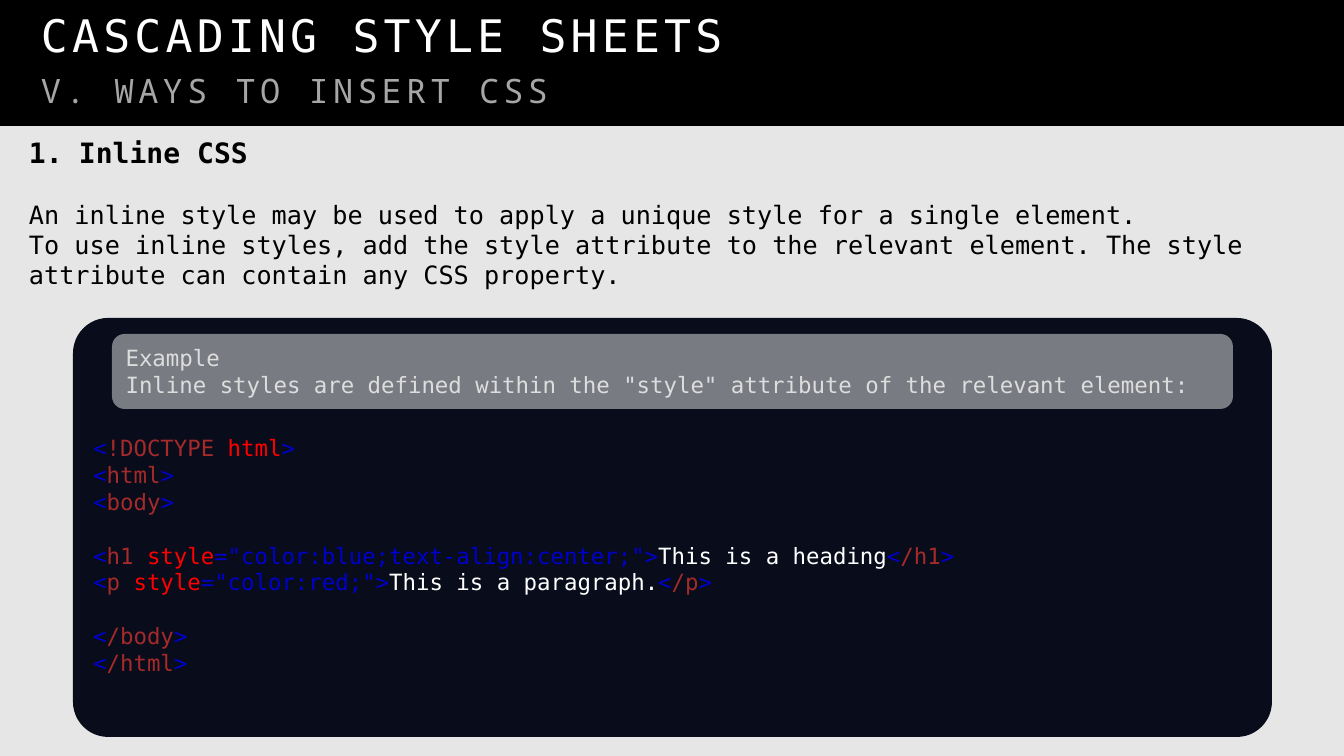
from lxml.etree import SubElement
from pptx import Presentation
from pptx.dml.color import RGBColor
from pptx.enum.shapes import MSO_SHAPE
from pptx.enum.text import MSO_ANCHOR, PP_ALIGN
from pptx.oxml.ns import qn
from pptx.util import Emu, Pt

EMU_PER_INCH = 914400
PX_PER_INCH = 100.8
MONO = "DejaVu Sans Mono"
COLORS = {
    "page": "E6E6E6", "band": "000000", "card": "080C1B",
    "title": "FFFFFF", "subtitle": "A6A6A6", "body": "000000", "note": "DDDDDD",
    "symbol": "0000CD", "tag": "A52A2A", "attribute": "FF0000", "content": "FFFFFF",
}


def px(length):
    return Emu(round(length * EMU_PER_INCH / PX_PER_INCH))


def color(name):
    return RGBColor.from_string(COLORS[name])


def add_panel(page, kind, left, top, width, height, fill, radius=None, alpha=None):
    panel = page.shapes.add_shape(kind, px(left), px(top), px(width), px(height))
    panel.shadow.inherit = False
    panel.line.fill.background()
    panel.fill.solid()
    panel.fill.fore_color.rgb = color(fill)
    if radius is not None:
        panel.adjustments[0] = radius
    if alpha is not None:
        tint = panel.fill._xPr.find(".//" + qn("a:srgbClr"))
        SubElement(tint, qn("a:alpha"), val=str(alpha * 1000))
    return panel


def set_frame(box, left=10, top=5, anchor=MSO_ANCHOR.TOP):
    frame = box.text_frame
    frame.word_wrap = True
    frame.vertical_anchor = anchor
    frame.margin_left, frame.margin_right = px(left), px(10)
    frame.margin_top, frame.margin_bottom = px(top), px(5)
    return frame


def add_para(frame, first=False, before=0):
    para = frame.paragraphs[0] if first else frame.add_paragraph()
    para.alignment = PP_ALIGN.LEFT
    if before:
        para.space_before = Pt(before)
    return para


def add_span(para, text, size, ink, font=MONO, bold=False, spacing=0):
    span = para.add_run()
    span.text = text
    span.font.size = Pt(size)
    span.font.name = font
    span.font.bold = bold
    span.font.color.rgb = color(ink)
    if spacing:
        span.font._element.set("spc", str(spacing * 100))


def number_para(para, indent):
    properties = para._p.get_or_add_pPr()
    properties.set("marL", str(px(indent)))
    properties.set("indent", str(-px(indent)))
    SubElement(properties, qn("a:buFont"), typeface=MONO)
    SubElement(properties, qn("a:buAutoNum"), type="arabicPeriod")


def tag(name, attribute="", value=""):
    spans = [("<", "symbol"), (name, "tag"), (attribute, "attribute"),
             (value + ">", "symbol")]
    return [(text, ink) for text, ink in spans if text]


def add_code(frame, lines, size):
    para = add_para(frame, first=True)
    for index, line in enumerate(lines):
        if index:
            para.add_line_break()
        for text, ink in line:
            add_span(para, text, size, ink)
    # Blank code lines keep the code's text size
    for line_break in para._p.findall(qn("a:br")):
        properties = SubElement(line_break, qn("a:rPr"), sz=str(size * 100))
        SubElement(properties, qn("a:latin"), typeface=MONO)


def main():
    deck = Presentation()
    deck.slide_width, deck.slide_height = px(1344), px(756)
    page = deck.slides.add_slide(deck.slide_layouts[6])
    page.background.fill.solid()
    page.background.fill.fore_color.rgb = color("page")

    # Header band
    band = add_panel(page, MSO_SHAPE.RECTANGLE, 0, 0, 1344, 126, "band")
    frame = set_frame(band, left=41, top=8)
    add_span(add_para(frame, first=True), "CASCADING STYLE SHEETS", 32, "title", spacing=3)
    add_span(add_para(frame, before=6), "V. WAYS TO INSERT CSS", 24, "subtitle",
             font="Noto Sans Mono", spacing=3)

    # Explanation
    box = page.shapes.add_textbox(px(19), px(131), px(1305), px(197))
    frame = set_frame(box)
    heading = add_para(frame, first=True)
    number_para(heading, 50)
    add_span(heading, "Inline CSS", 20, "body", bold=True)
    add_span(add_para(frame, before=21),
             "An inline style may be used to apply a unique style for a single element.",
             18, "body")
    add_span(add_para(frame),
             "To use inline styles, add the style attribute to the relevant element. "
             "The style attribute can contain any CSS property.", 18, "body")

    # Code card
    card = add_panel(page, MSO_SHAPE.ROUNDED_RECTANGLE, 73, 318, 1199, 419, "card",
                     radius=0.084)
    code = [
        tag("!DOCTYPE", " html"),
        tag("html"),
        tag("body"),
        [],
        tag("h1", " style", '="color:blue;text-align:center;"')
        + [("This is a heading", "content")] + tag("/h1"),
        tag("p", " style", '="color:red;"')
        + [("This is a paragraph.", "content")] + tag("/p"),
        [],
        tag("/body"),
        tag("/html"),
    ]
    add_code(set_frame(card, top=106), code, 16)

    # Example note
    note = add_panel(page, MSO_SHAPE.ROUNDED_RECTANGLE, 112, 334, 1121, 75, "page", alpha=51)
    frame = set_frame(note, anchor=MSO_ANCHOR.MIDDLE)
    add_span(add_para(frame, first=True), "Example", 16, "note")
    add_span(add_para(frame),
             'Inline styles are defined within the "style" attribute of the relevant element:',
             16, "note")

    deck.save("out.pptx")


if __name__ == "__main__":
    main()
